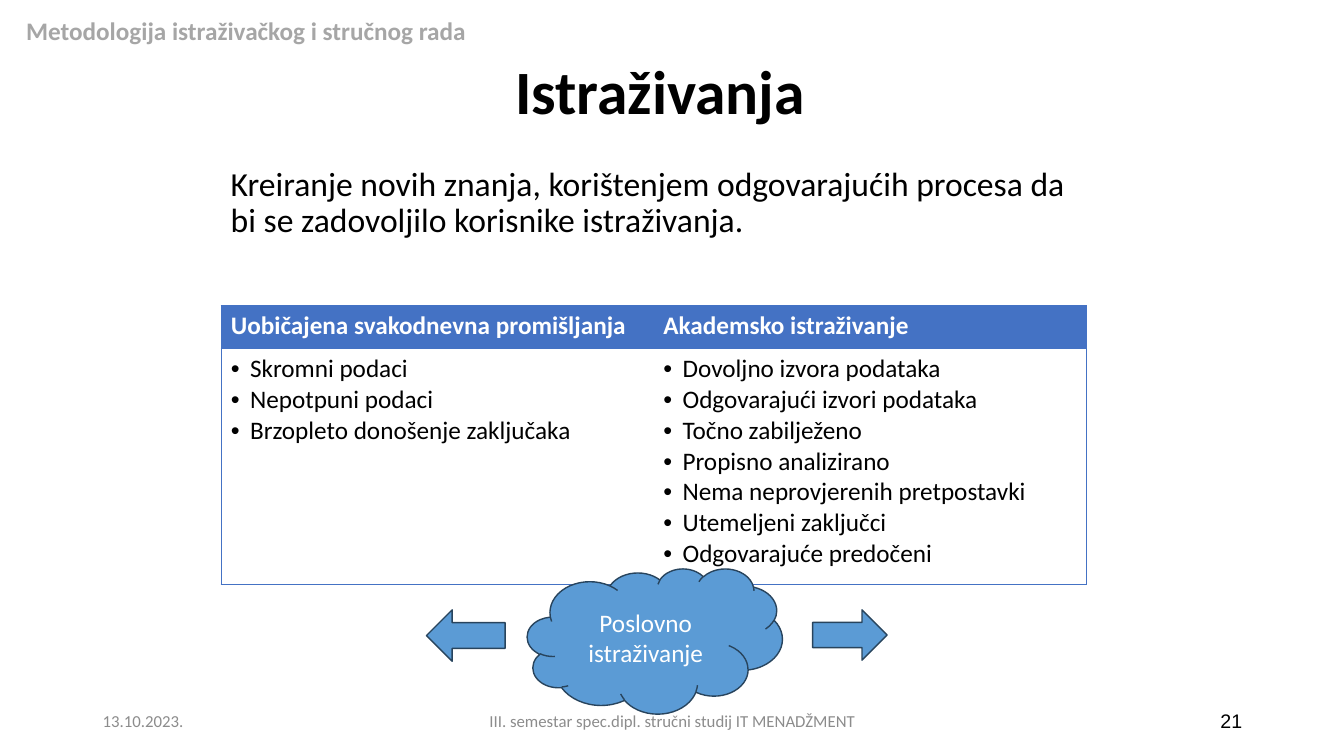
from dataclasses import dataclass
from lxml.etree import SubElement
from pptx import Presentation
from pptx.dml.color import RGBColor
from pptx.enum.shapes import MSO_SHAPE
from pptx.enum.text import MSO_ANCHOR, PP_ALIGN
from pptx.oxml import parse_xml
from pptx.oxml.ns import nsdecls, qn
from pptx.util import Inches, Pt


@dataclass(frozen=True)
class Theme:
    font: str = "Calibri"
    plain: str = "Arial"
    black: str = "000000"
    white: str = "FFFFFF"
    pale: str = "A6A6A6"
    gray: str = "8C8C8C"
    head: str = "4472C4"
    blue: str = "5B9BD5"
    edge: str = "28445D"
    title: int = 44
    lead: int = 24
    body: int = 18
    page: int = 14
    foot: int = 12


T = Theme()
TITLE = "Istraživanja"
COURSE = "Metodologija istraživačkog i stručnog rada"
LEAD = ("Kreiranje novih znanja, korištenjem odgovarajućih procesa da "
        "bi se zadovoljilo korisnike istraživanja.")
COLUMNS = {
    "Uobičajena svakodnevna promišljanja": [
        "Skromni podaci", "Nepotpuni podaci", "Brzopleto donošenje zaključaka"],
    "Akademsko istraživanje": [
        "Dovoljno izvora podataka", "Odgovarajući izvori podataka",
        "Točno zabilježeno", "Propisno analizirano",
        "Nema neprovjerenih pretpostavki", "Utemeljeni zaključci",
        "Odgovarajuće predočeni"],
}
ROWS = (0.43, 2.34)
LEFT, WIDE = 2.19, 8.58
FOOTER = [  # text, left, width, alignment, size, colour, font
    ("13.10.2023.", 0.92, 3, PP_ALIGN.LEFT, T.foot, T.gray, T.font),
    ("III. semestar spec.dipl. stručni studij IT MENADŽMENT",
     4.42, 4.5, PP_ALIGN.CENTER, T.foot, T.gray, T.font),
    ("21", 9.42, 3, PP_ALIGN.RIGHT, T.page, T.black, T.plain),
]
SHAPES = [
    (MSO_SHAPE.CLOUD, (5.23, 5.64, 2.53, 1.44), "Poslovno istraživanje"),
    (MSO_SHAPE.LEFT_ARROW, (4.23, 6.05, 0.78, 0.51), ""),
    (MSO_SHAPE.RIGHT_ARROW, (8.06, 6.05, 0.74, 0.5), ""),
]


def rgb(code):
    return RGBColor.from_string(code)


def write(frame, lines, size, color, bold=False, align=PP_ALIGN.LEFT, font=T.font):
    """Fill a text frame with one paragraph per line."""
    for i, line in enumerate(lines):
        para = frame.add_paragraph() if i else frame.paragraphs[0]
        para.text = line
        para.alignment = align
        face = para.font
        face.name, face.size, face.bold = font, Pt(size), bold
        face.color.rgb = rgb(color)


def add_text(slide, box, text, *style, wrap=True, anchor=MSO_ANCHOR.TOP, **more):
    frame = slide.shapes.add_textbox(*map(Inches, box)).text_frame
    frame.word_wrap = wrap
    frame.vertical_anchor = anchor
    write(frame, [text], *style, **more)
    return frame.paragraphs[0]


def bullet(para):
    props = para._p.get_or_add_pPr()
    props.set("marL", str(Inches(0.19)))
    props.set("indent", str(-Inches(0.19)))
    props.insert(0, parse_xml(f'<a:buFont {nsdecls("a")} typeface="Arial"/>'))
    props.insert(1, parse_xml(f'<a:buChar {nsdecls("a")} char="•"/>'))


def border(cell, shown):
    """Draw the sides named in shown and blank the others."""
    props = cell._tc.get_or_add_tcPr()
    for side in "LRTB":
        line = SubElement(props, qn(f"a:ln{side}"), w=str(Pt(0.5)))
        if side in shown:
            fill = SubElement(line, qn("a:solidFill"))
            SubElement(fill, qn("a:srgbClr"), val=T.head)
        else:
            SubElement(line, qn("a:noFill"))


def add_grid(slide):
    box = (LEFT, 3.03, WIDE, sum(ROWS))
    table = slide.shapes.add_table(2, len(COLUMNS), *map(Inches, box)).table
    table.horz_banding = False
    for row, high in zip(table.rows, ROWS):
        row.height = Inches(high)
    for col, (name, items) in enumerate(COLUMNS.items()):
        table.columns[col].width = Inches(WIDE / len(COLUMNS))
        side = "R" if col else "L"
        head, body = table.cell(0, col), table.cell(1, col)
        border(head, side + "TB")
        border(body, side + "TB")
        head.fill.solid()
        head.fill.fore_color.rgb = rgb(T.head)
        body.fill.background()
        write(head.text_frame, [name], T.body, T.white, True)
        write(body.text_frame, items, T.body, T.black)
        for para in body.text_frame.paragraphs:
            bullet(para)


def add_figure(slide, kind, box, text):
    shape = slide.shapes.add_shape(kind, *map(Inches, box))
    shape.shadow.inherit = False
    shape.fill.solid()
    shape.fill.fore_color.rgb = rgb(T.blue)
    shape.line.color.rgb = rgb(T.edge)
    shape.line.width = Pt(1)
    if text:
        shape.text_frame.vertical_anchor = MSO_ANCHOR.MIDDLE
        write(shape.text_frame, [text], T.body, T.white, align=PP_ALIGN.CENTER)


def main():
    deck = Presentation()
    deck.slide_width, deck.slide_height = Inches(13.33), Inches(7.5)
    slide = deck.slides.add_slide(deck.slide_layouts[5])

    title = slide.shapes.title
    title.left, title.top, title.width, title.height = map(
        Inches, (5.01, 0.31, 3.19, 1.25))
    title.text_frame.vertical_anchor = MSO_ANCHOR.MIDDLE
    write(title.text_frame, [TITLE], T.title, T.black, True)
    title.text_frame.paragraphs[0].line_spacing = 0.9

    add_text(slide, (0.16, 0.1, 4.65, 0.4), COURSE, T.body, T.pale, True, wrap=False)
    lead = add_text(slide, (LEFT, 1.61, WIDE, 1.04), LEAD, T.lead, T.black)
    lead.line_spacing, lead.space_before = 0.9, Pt(10)
    add_grid(slide)
    for text, left, wide, align, size, color, font in FOOTER:
        add_text(slide, (left, 6.95, wide, 0.4), text, size, color,
                 align=align, font=font, anchor=MSO_ANCHOR.MIDDLE)
    for figure in SHAPES:
        add_figure(slide, *figure)
    deck.save("out.pptx")


if __name__ == "__main__":
    main()
